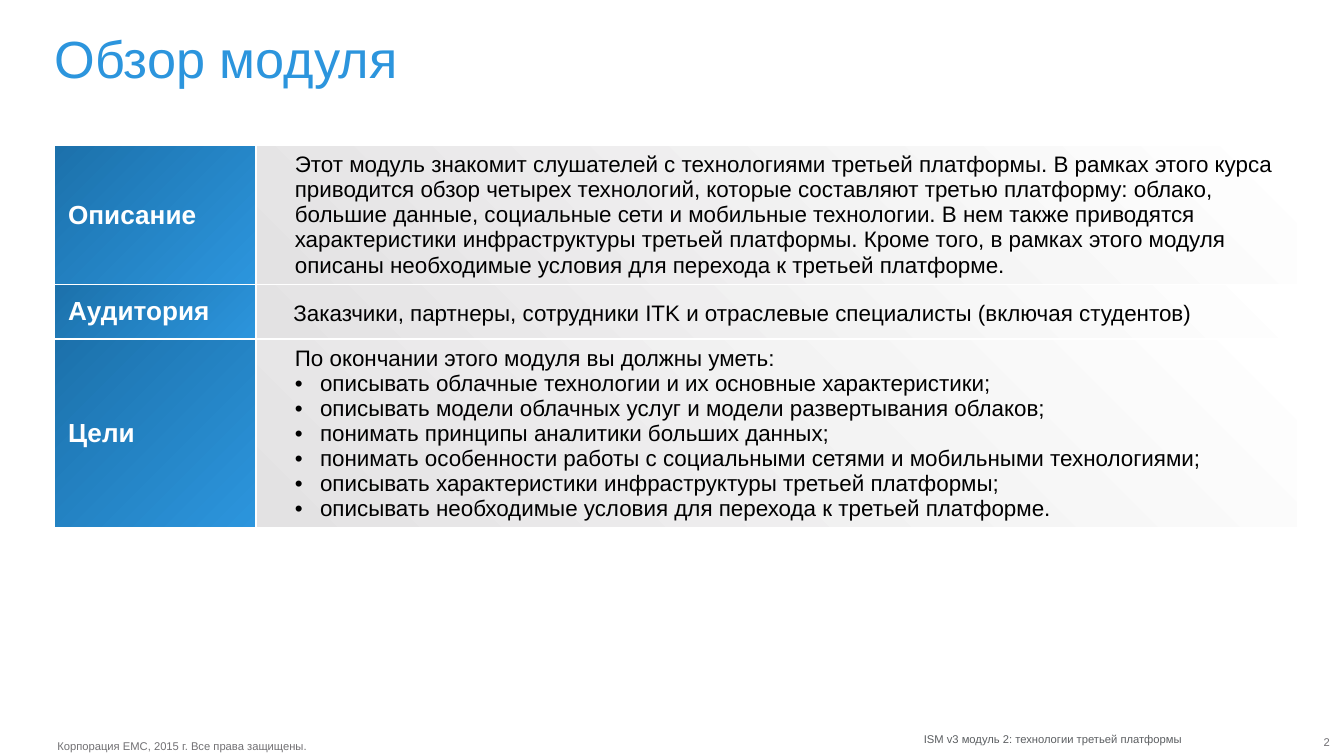
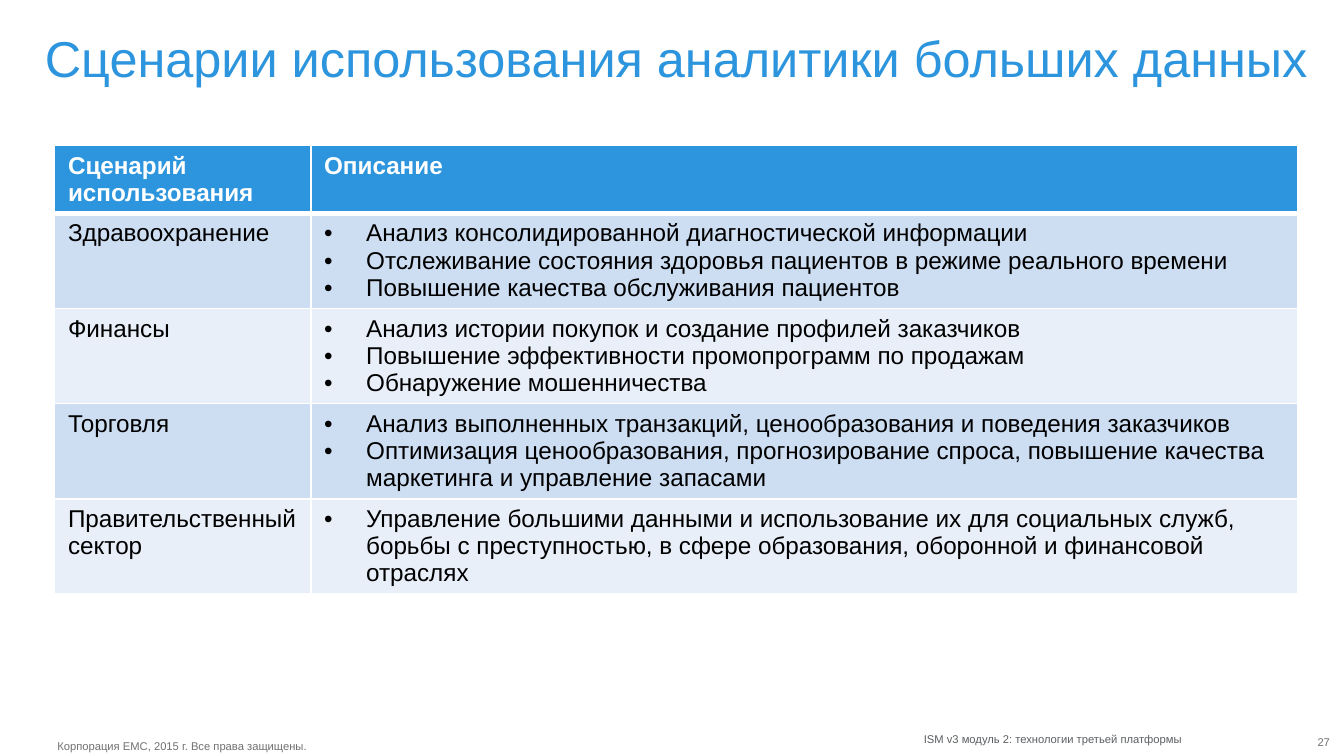
from lxml import etree
from pptx import Presentation
from pptx import util as u
from pptx.dml.color import RGBColor
from pptx.enum import text
from pptx.oxml.ns import qn

PX = 9525
FONT = "Arial"
BLUE, WHITE, BLACK = "2C95DD", "FFFFFF", "000000"
BLUE_GRADIENT = ("1C71AB", BLUE, 315)
GREY_GRADIENT = ("E3E2E3", WHITE, 45)
BANDS = ("CDDDF2", "E8EFF9")
LEFT, RIGHT = text.PP_ALIGN.LEFT, text.PP_ALIGN.RIGHT
TOP, MIDDLE = text.MSO_ANCHOR.TOP, text.MSO_ANCHOR.MIDDLE


def color(hex_string):
    return RGBColor.from_string(hex_string)


def write(frame, lines, size, ink, bold=False, indent=(0, 0), **formats):
    for index, line in enumerate(lines):
        paragraph = frame.paragraphs[0] if index == 0 else frame.add_paragraph()
        for name, value in formats.items():
            setattr(paragraph, name, value)
        properties = paragraph._p.get_or_add_pPr()
        properties.set("marL", str(indent[0] * PX))
        properties.set("indent", str(indent[1] * PX))
        if line.startswith("• "):
            etree.SubElement(properties, qn("a:buFont")).set("typeface", FONT)
            etree.SubElement(properties, qn("a:buChar")).set("char", "•")
        run = paragraph.add_run()
        run.text = line.removeprefix("• ")
        run.font.color.rgb = color(ink)
        font_values = {"name": FONT, "size": u.Pt(size), "bold": bold}
        for name, value in font_values.items():
            setattr(run.font, name, value)


label_format = {"size": 14, "ink": WHITE, "bold": True}
overview_format = {"size": 12, "ink": BLACK}
header_format = {"size": 13, "ink": WHITE, "bold": True}
scenario_format = {"size": 13, "ink": BLACK}

overview = [
    ("Описание", {"indent": (18, 0)}, [
        "Этот модуль знакомит слушателей с технологиями третьей платформы. В рамках этого курса "
        "приводится обзор четырех технологий, которые составляют третью платформу: облако, "
        "большие данные, социальные сети и мобильные технологии. В нем также приводятся "
        "характеристики инфраструктуры третьей платформы. Кроме того, в рамках этого модуля "
        "описаны необходимые условия для перехода к третьей платформе."]),
    ("Аудитория", {"indent": (12, 5), "line_spacing": 1.15, "space_after": u.Pt(10)}, [
        "Заказчики, партнеры, сотрудники ITK и отраслевые специалисты (включая студентов)"]),
    ("Цели", {"indent": (36, -18)}, [
        "По окончании этого модуля вы должны уметь:",
        "• описывать облачные технологии и их основные характеристики;",
        "• описывать модели облачных услуг и модели развертывания облаков;",
        "• понимать принципы аналитики больших данных;",
        "• понимать особенности работы с социальными сетями и мобильными технологиями;",
        "• описывать характеристики инфраструктуры третьей платформы;",
        "• описывать необходимые условия для перехода к третьей платформе."]),
]
scenarios = [
    ("Здравоохранение", [
        "• Анализ консолидированной диагностической информации",
        "• Отслеживание состояния здоровья пациентов в режиме реального времени",
        "• Повышение качества обслуживания пациентов"]),
    ("Финансы", [
        "• Анализ истории покупок и создание профилей заказчиков",
        "• Повышение эффективности промопрограмм по продажам",
        "• Обнаружение мошенничества"]),
    ("Торговля", [
        "• Анализ выполненных транзакций, ценообразования и поведения заказчиков",
        "• Оптимизация ценообразования, прогнозирование спроса, повышение качества "
        "маркетинга и управление запасами"]),
    ("Правительственный сектор", [
        "• Управление большими данными и использование их для социальных служб, борьбы "
        "с преступностью, в сфере образования, оборонной и финансовой отраслях"]),
]

overview_rows = [
    [([label], label_format, BLUE_GRADIENT), (lines, overview_format | layout, GREY_GRADIENT)]
    for label, layout, lines in overview
]
scenario_rows = [[([label], header_format, BLUE) for label in ("Сценарий использования", "Описание")]]
for index, (label, lines) in enumerate(scenarios):
    band = BANDS[index % 2]
    scenario_rows.append([
        ([label], scenario_format, band),
        (lines, scenario_format | {"indent": (30, -30)}, band),
    ])

slides = [
    {"title": "Обзор модуля", "title_box": (39, 24, 888, 48), "title_size": 28, "number": "2",
     "rows": overview_rows, "columns": (144, 744), "heights": (99, 39, 134),
     "anchor": MIDDLE, "header": False},
    {"title": "Сценарии использования аналитики больших данных", "title_box": (32, 24, 904, 48),
     "title_size": 27, "number": "27", "rows": scenario_rows, "columns": (183, 705),
     "heights": (48, 68, 68, 68, 68), "anchor": TOP, "header": True},
]

presentation = Presentation()
presentation.slide_width, presentation.slide_height = 960 * PX, 540 * PX

for content in slides:
    slide = presentation.slides.add_slide(presentation.slide_layouts[5])
    title = slide.shapes.title
    footers = [
        ("Корпорация EMC, 2015\u00a0г. Все права защищены.", (41, 528, 183, 10), "717073", LEFT, False),
        ("ISM v3 модуль 2: технологии третьей платформы", (656, 523, 188, 10), "5B5E61", RIGHT, False),
        (content["number"], (920, 525, 30, 10), "717074", RIGHT, True),
    ]
    boxes = [(title, content["title"], content["title_box"], True,
              {"size": content["title_size"], "ink": BLUE, "alignment": LEFT, "line_spacing": 0.9})]
    for line, box, ink, alignment, wrap in footers:
        boxes.append((slide.shapes.add_textbox(0, 0, 0, 0), line, box, wrap,
                      {"size": 6, "ink": ink, "alignment": alignment}))
    for shape, line, box, wrap, formats in boxes:
        for name, value in zip(("left", "top", "width", "height"), box):
            setattr(shape, name, value * PX)
        frame_values = {
            "margin_left": 0, "margin_top": 0, "margin_right": 0, "margin_bottom": 0,
            "word_wrap": wrap, "auto_size": text.MSO_AUTO_SIZE.NONE, "vertical_anchor": TOP,
        }
        for name, value in frame_values.items():
            setattr(shape.text_frame, name, value)
        write(shape.text_frame, [line], **formats)

    rows = content["rows"]
    table = slide.shapes.add_table(
        len(rows), 2, 39 * PX, 104 * PX, 888 * PX, sum(content["heights"]) * PX).table
    table.first_row = content["header"]
    table.horz_banding = False
    for column, width in zip(table.columns, content["columns"]):
        column.width = width * PX
    for row, height in zip(table.rows, content["heights"]):
        row.height = height * PX

    for row_index, row in enumerate(rows):
        for column_index, (lines, formats, fill) in enumerate(row):
            cell = table.cell(row_index, column_index)
            cell.vertical_anchor = content["anchor"]
            write(cell.text_frame, lines, **formats)
            for side in ("L", "R", "T", "B"):
                under_header = content["header"] and (row_index, side) in ((0, "B"), (1, "T"))
                border = etree.SubElement(cell._tc.get_or_add_tcPr(), qn(f"a:ln{side}"))
                border.set("w", str(u.Pt(3 if under_header else 1)))
                solid = etree.SubElement(border, qn("a:solidFill"))
                etree.SubElement(solid, qn("a:srgbClr")).set("val", WHITE)
            if isinstance(fill, str):
                cell.fill.solid()
                cell.fill.fore_color.rgb = color(fill)
            else:
                cell.fill.gradient()
                cell.fill.gradient_angle = fill[2]
                for position, stop in enumerate(cell.fill.gradient_stops):
                    stop.position = position
                    stop.color.rgb = color(fill[position])

presentation.save("out.pptx")
